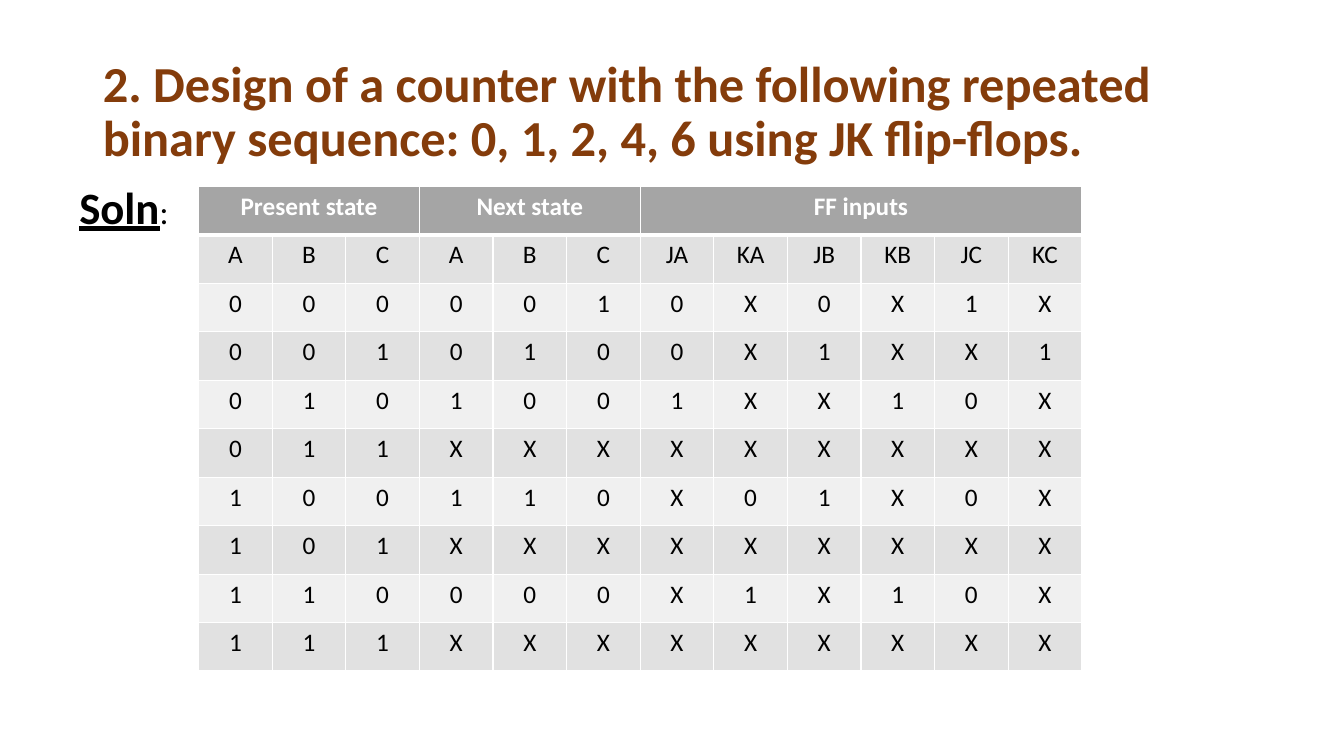
from lxml.etree import SubElement
from pptx import Presentation
from pptx.dml.color import RGBColor
from pptx.enum.text import MSO_ANCHOR, MSO_AUTO_SIZE, PP_ALIGN
from pptx.oxml.ns import qn
from pptx.util import Inches, Pt

FONT = "Calibri"
BLACK, WHITE, BROWN = "000000", "FFFFFF", "843C0B"
HEADER_FILL, DARK_BAND, LIGHT_BAND = "A5A5A5", "E1E1E1", "F0F0F0"

TITLE = ("2. Design of a counter with the following repeated binary "
         "sequence: 0, 1, 2, 4, 6 using JK flip-flops.")
GROUPS = [("Present state", 3), ("Next state", 3), ("FF inputs", 6)]
STATE_ROWS = [row.split() for row in (
    "A B C A B C JA KA JB KB JC KC",
    "0 0 0 0 0 1 0 X 0 X 1 X",
    "0 0 1 0 1 0 0 X 1 X X 1",
    "0 1 0 1 0 0 1 X X 1 0 X",
    "0 1 1 X X X X X X X X X",
    "1 0 0 1 1 0 X 0 1 X 0 X",
    "1 0 1 X X X X X X X X X",
    "1 1 0 0 0 0 X 1 X 1 0 X",
    "1 1 1 X X X X X X X X X",
)]


def color(hex_value):
    return RGBColor.from_string(hex_value)


def format_span(span, size, hex_value, bold=False, underline=False):
    span.font.name = FONT
    span.font.size = Pt(size)
    span.font.color.rgb = color(hex_value)
    span.font.bold = bold
    span.font.underline = underline


def place(shape, left, top, width, height):
    shape.left, shape.top = Inches(left), Inches(top)
    shape.width, shape.height = Inches(width), Inches(height)


def add_title(slide):
    title = slide.shapes.title
    place(title, 0.92, 0.4, 11.5, 1.45)
    frame = title.text_frame
    frame.text = TITLE
    frame.word_wrap = True
    frame.auto_size = MSO_AUTO_SIZE.NONE
    frame.vertical_anchor = MSO_ANCHOR.MIDDLE
    paragraph = frame.paragraphs[0]
    paragraph.alignment = PP_ALIGN.LEFT
    paragraph.line_spacing = 0.9
    paragraph.space_before = Pt(0)
    format_span(paragraph.runs[0], 36, BROWN, bold=True)


def set_borders(cell, top=1, bottom=1):
    properties = cell._tc.get_or_add_tcPr()
    widths = {"lnL": 1, "lnR": 1, "lnT": top, "lnB": bottom}
    for index, (tag, width) in enumerate(widths.items()):
        line = SubElement(properties, qn(f"a:{tag}"), w=str(Pt(width)))
        fill = SubElement(line, qn("a:solidFill"))
        SubElement(fill, qn("a:srgbClr"), val=WHITE)
        # Borders come before the cell fill
        properties.insert(index, line)


def style_cell(cell, fill, top=1, bottom=1):
    cell.fill.solid()
    cell.fill.fore_color.rgb = color(fill)
    set_borders(cell, top, bottom)


def write_cell(cell, text, hex_value, bold=False):
    cell.text = text
    paragraph = cell.text_frame.paragraphs[0]
    paragraph.alignment = PP_ALIGN.CENTER
    format_span(paragraph.runs[0], 18, hex_value, bold)


def add_state_table(slide):
    row_count, column_count = len(STATE_ROWS) + 1, len(STATE_ROWS[0])
    frame = slide.shapes.add_table(row_count, column_count, Inches(1.97),
                                   Inches(1.85), Inches(8.76), Inches(4.81))
    table = frame.table
    for column in table.columns:
        column.width = Inches(8.76 / column_count)
    for row in table.rows:
        row.height = Inches(4.81 / row_count)

    # Group headings over their columns
    for column in range(column_count):
        style_cell(table.cell(0, column), HEADER_FILL, bottom=3)
    start = 0
    for heading, width in GROUPS:
        cell = table.cell(0, start)
        cell.merge(table.cell(0, start + width - 1))
        write_cell(cell, heading, WHITE, bold=True)
        start += width

    # Column names and states, in alternating bands
    for row, values in enumerate(STATE_ROWS, start=1):
        for column, value in enumerate(values):
            cell = table.cell(row, column)
            style_cell(cell, DARK_BAND if row % 2 else LIGHT_BAND,
                       top=3 if row == 1 else 1)
            write_cell(cell, value, BLACK)


def add_solution_label(slide):
    box = slide.shapes.add_textbox(Inches(0.51), Inches(1.73),
                                   Inches(1.44), Inches(0.64))
    frame = box.text_frame
    frame.word_wrap = True
    frame.auto_size = MSO_AUTO_SIZE.SHAPE_TO_FIT_TEXT
    paragraph = frame.paragraphs[0]
    paragraph.alignment = PP_ALIGN.CENTER
    for text, size, strong in (("Soln", 32, True), (":", 24, False)):
        span = paragraph.add_run()
        span.text = text
        format_span(span, size, BLACK, bold=strong, underline=strong)


def main():
    deck = Presentation()
    deck.slide_width, deck.slide_height = Inches(13.33), Inches(7.5)
    slide = deck.slides.add_slide(deck.slide_layouts[5])
    add_title(slide)
    add_state_table(slide)
    add_solution_label(slide)
    deck.save("out.pptx")


if __name__ == "__main__":
    main()
